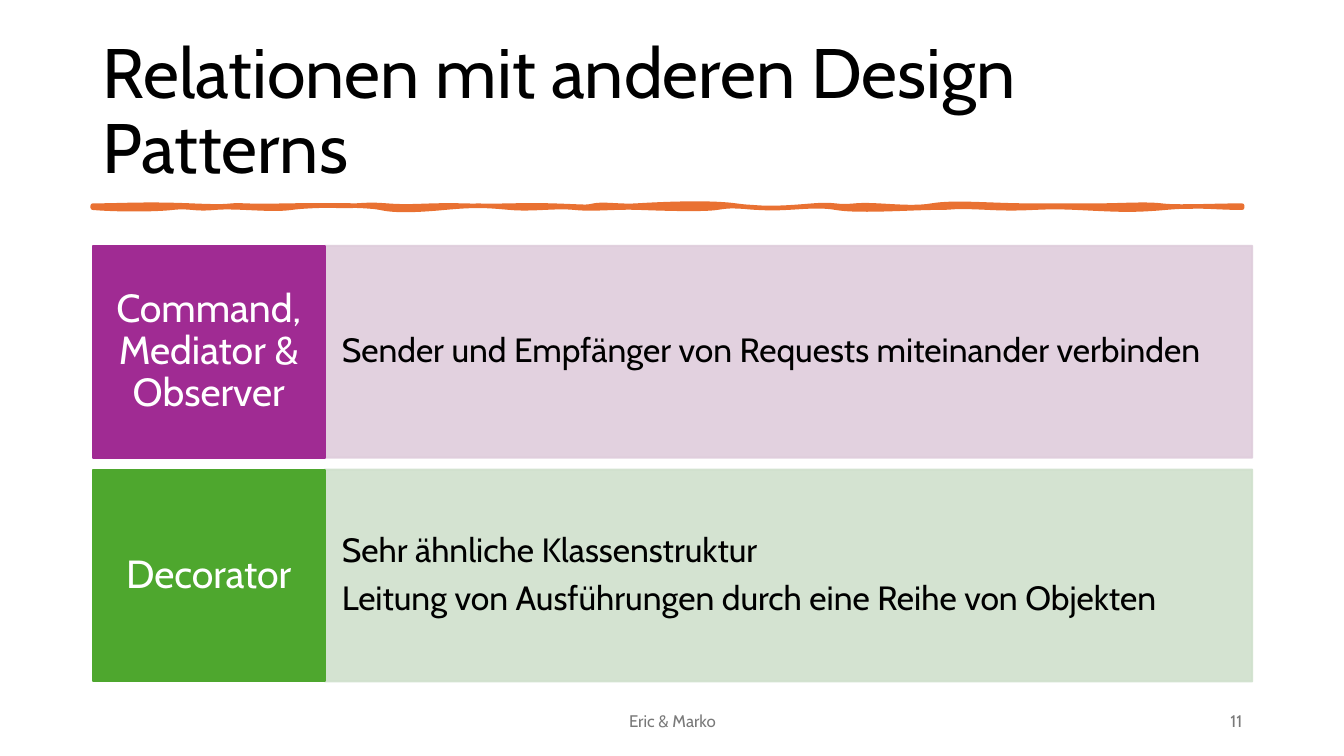
from lxml import etree
from pptx import Presentation
from pptx.dml.color import RGBColor
from pptx.enum.shapes import MSO_SHAPE
from pptx.enum.text import MSO_ANCHOR, PP_ALIGN
from pptx.oxml.ns import qn
from pptx.util import Inches, Pt

RECTANGLE = MSO_SHAPE.RECTANGLE
MIDDLE = MSO_ANCHOR.MIDDLE
LEFT, CENTER, RIGHT = PP_ALIGN.LEFT, PP_ALIGN.CENTER, PP_ALIGN.RIGHT

FONT = "Cabin"
BLACK = RGBColor(0x00, 0x00, 0x00)
WHITE = RGBColor(0xFF, 0xFF, 0xFF)
GRAY = RGBColor(0x79, 0x79, 0x79)
ORANGE = RGBColor(0xE9, 0x71, 0x32)
PURPLE = RGBColor(0xA0, 0x2B, 0x93)
PALE_PURPLE = RGBColor(0xDF, 0xCD, 0xDC)
GREEN = RGBColor(0x4E, 0xA7, 0x2E)
PALE_GREEN = RGBColor(0xD0, 0xE1, 0xCD)

MARGIN = 0.92
LABEL_WIDTH, DETAIL_WIDTH = 2.3, 9.2
ROW_TOP, ROW_HEIGHT, ROW_PITCH = 2.44, 2.1, 2.22

ROWS = [
    ("Command, Mediator & Observer", PURPLE, PALE_PURPLE,
     "Sender und Empfänger von Requests miteinander verbinden"),
    ("Decorator", GREEN, PALE_GREEN,
     "Sehr ähnliche Klassenstruktur\n"
     "Leitung von Ausführungen durch eine Reihe von Objekten"),
]

# Bézier segments of the brush stroke: two control points and an end point
STROKE_START = (0.92, 2.04)
STROKE_CURVES = [
    (1.19, 2.04, 1.44, 2.02, 1.90, 2.04), (2.37, 2.06, 2.20, 2.03, 2.44, 2.04),
    (2.67, 2.05, 3.03, 2.03, 3.31, 2.04), (3.60, 2.05, 3.59, 2.02, 3.84, 2.04),
    (4.10, 2.06, 4.23, 2.03, 4.60, 2.04), (4.98, 2.05, 5.14, 2.03, 5.48, 2.04),
    (5.81, 2.05, 5.81, 2.06, 5.89, 2.04), (5.98, 2.02, 6.15, 2.05, 6.31, 2.04),
    (6.47, 2.03, 7.01, 2.00, 7.30, 2.04), (7.59, 2.08, 7.81, 2.06, 8.06, 2.04),
    (8.31, 2.02, 8.27, 2.06, 8.48, 2.04), (8.68, 2.02, 9.01, 2.08, 9.24, 2.04),
    (9.47, 2.00, 9.82, 2.04, 10.23, 2.04), (10.63, 2.04, 10.63, 2.04, 10.87, 2.04),
    (11.12, 2.04, 11.36, 2.02, 11.52, 2.04), (11.68, 2.06, 12.03, 2.04, 12.32, 2.04),
    (12.32, 2.05, 12.32, 2.05, 12.32, 2.06), (12.05, 2.06, 11.89, 2.03, 11.56, 2.06),
    (11.22, 2.09, 11.10, 2.08, 10.68, 2.06), (10.27, 2.04, 10.23, 2.08, 9.81, 2.06),
    (9.39, 2.04, 9.52, 2.06, 9.28, 2.06), (9.04, 2.06, 8.51, 2.10, 8.29, 2.06),
    (8.06, 2.02, 7.82, 2.08, 7.53, 2.06), (7.24, 2.04, 7.25, 2.04, 7.11, 2.06),
    (6.98, 2.08, 6.61, 2.07, 6.35, 2.06), (6.09, 2.05, 5.90, 2.08, 5.70, 2.06),
    (5.51, 2.04, 5.28, 2.08, 5.06, 2.06), (4.83, 2.04, 4.73, 2.03, 4.41, 2.06),
    (4.09, 2.09, 3.90, 2.09, 3.77, 2.06), (3.63, 2.03, 3.10, 2.03, 2.89, 2.06),
    (2.68, 2.09, 2.35, 2.04, 2.13, 2.06), (1.92, 2.08, 1.89, 2.04, 1.71, 2.06),
    (1.54, 2.08, 1.14, 2.08, 0.92, 2.06), (0.92, 2.05, 0.92, 2.05, 0.92, 2.04),
]


def write_text(shape, text, size, color, alignment=LEFT, line_spacing=None,
               space_after=0, insets=(0.1, 0.05)):
    frame = shape.text_frame
    frame.word_wrap = True
    frame.vertical_anchor = MIDDLE
    frame.margin_left = frame.margin_right = Inches(insets[0])
    frame.margin_top = frame.margin_bottom = Inches(insets[1])
    frame.text = text
    for paragraph in frame.paragraphs:
        paragraph.alignment = alignment
        paragraph.line_spacing = line_spacing
        paragraph.space_after = Pt(space_after)
        for run in paragraph.runs:
            run.font.name = FONT
            run.font.size = Pt(size)
            run.font.color.rgb = color


def add_text(slide, left, top, width, height, text, size, color, **options):
    box = slide.shapes.add_textbox(
        Inches(left), Inches(top), Inches(width), Inches(height))
    write_text(box, text, size, color, **options)


def paint(shape, color, line_width):
    shape.shadow.inherit = False
    shape.fill.solid()
    shape.fill.fore_color.rgb = color
    shape.line.color.rgb = color
    shape.line.width = Pt(line_width)


def set_opacity(shape, percent):
    """Make both the fill and the outline of a shape partly transparent."""
    for color in shape.element.spPr.iter(qn("a:srgbClr")):
        etree.SubElement(color, qn("a:alpha"), val=str(percent * 1000))


def add_panel(slide, left, top, width, color):
    panel = slide.shapes.add_shape(
        RECTANGLE, Inches(left), Inches(top), Inches(width), Inches(ROW_HEIGHT))
    paint(panel, color, 1.5)
    return panel


def add_row(slide, top, label, color, pale_color, details):
    detail_panel = add_panel(slide, MARGIN + LABEL_WIDTH, top, DETAIL_WIDTH, pale_color)
    set_opacity(detail_panel, 90)
    write_text(detail_panel, details, 24, BLACK, line_spacing=0.9,
               space_after=8.4, insets=(0.17, 0.53))
    label_panel = add_panel(slide, MARGIN, top, LABEL_WIDTH, color)
    write_text(label_panel, label, 28, WHITE, alignment=CENTER,
               line_spacing=0.9, space_after=9.8, insets=(0.12, 0.21))


def bend_segments(shape, curves):
    """Turn the straight segments of a freeform into cubic Bézier curves."""
    segments = list(shape.element.spPr.iter(qn("a:lnTo")))
    for segment, curve in zip(segments, curves):
        bend = etree.Element(qn("a:cubicBezTo"))
        for x, y in zip(curve[::2], curve[1::2]):
            etree.SubElement(bend, qn("a:pt"), x=str(Inches(x) - shape.left),
                             y=str(Inches(y) - shape.top))
        segment.getparent().replace(segment, bend)


def add_brush_stroke(slide):
    builder = slide.shapes.build_freeform(*(Inches(value) for value in STROKE_START))
    end_points = [(Inches(curve[4]), Inches(curve[5])) for curve in STROKE_CURVES]
    builder.add_line_segments(end_points, close=True)
    stroke = builder.convert_to_shape()
    bend_segments(stroke, STROKE_CURVES)
    paint(stroke, ORANGE, 3.25)


def main():
    presentation = Presentation()
    presentation.slide_width = Inches(13.33)
    presentation.slide_height = Inches(7.5)
    slide = presentation.slides.add_slide(presentation.slide_layouts[6])

    add_text(slide, MARGIN, 0.4, 11.5, 1.45, "Relationen mit anderen Design Patterns",
             50, BLACK, line_spacing=0.9)
    add_brush_stroke(slide)
    add_text(slide, 4.42, 6.95, 4.5, 0.4, "Eric & Marko", 12, GRAY,
             alignment=CENTER, space_after=6)
    add_text(slide, 9.42, 6.95, 3, 0.4, "11", 12, GRAY,
             alignment=RIGHT, space_after=6)
    for index, row in enumerate(ROWS):
        add_row(slide, ROW_TOP + index * ROW_PITCH, *row)

    presentation.save("out.pptx")


if __name__ == "__main__":
    main()
